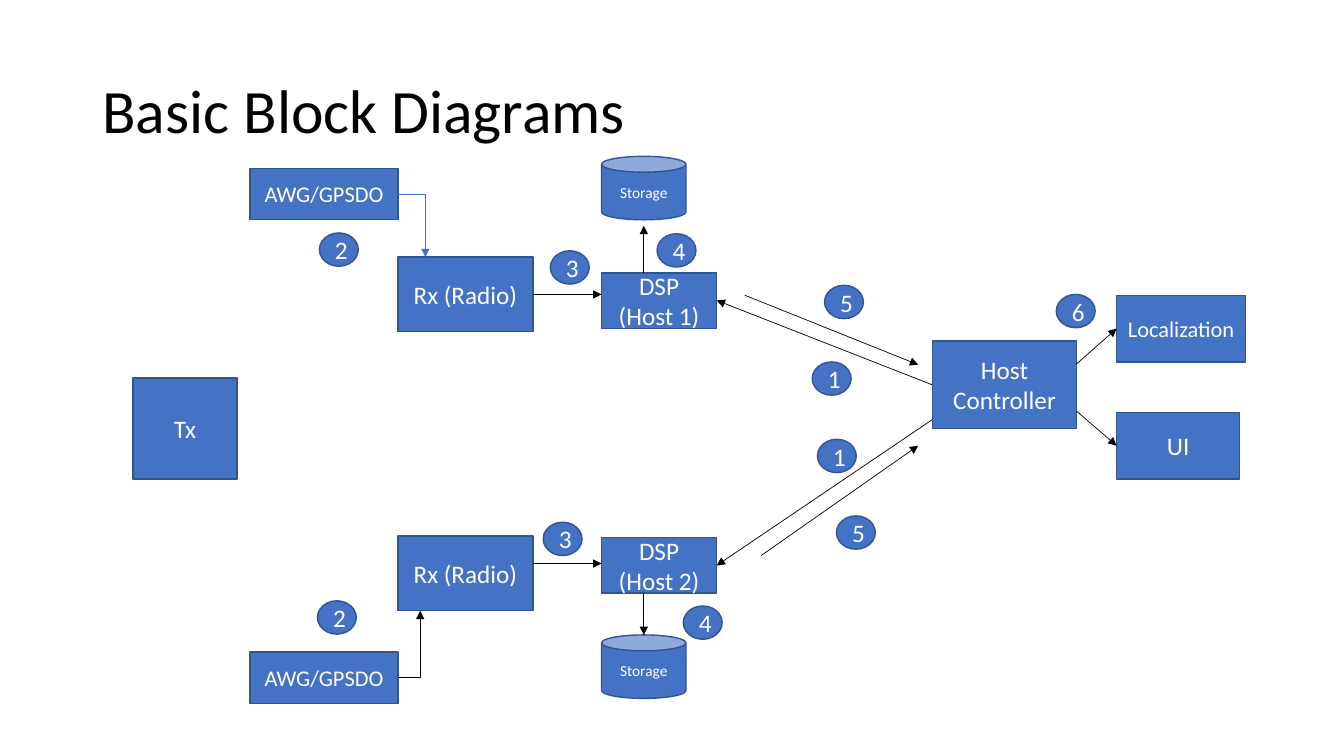
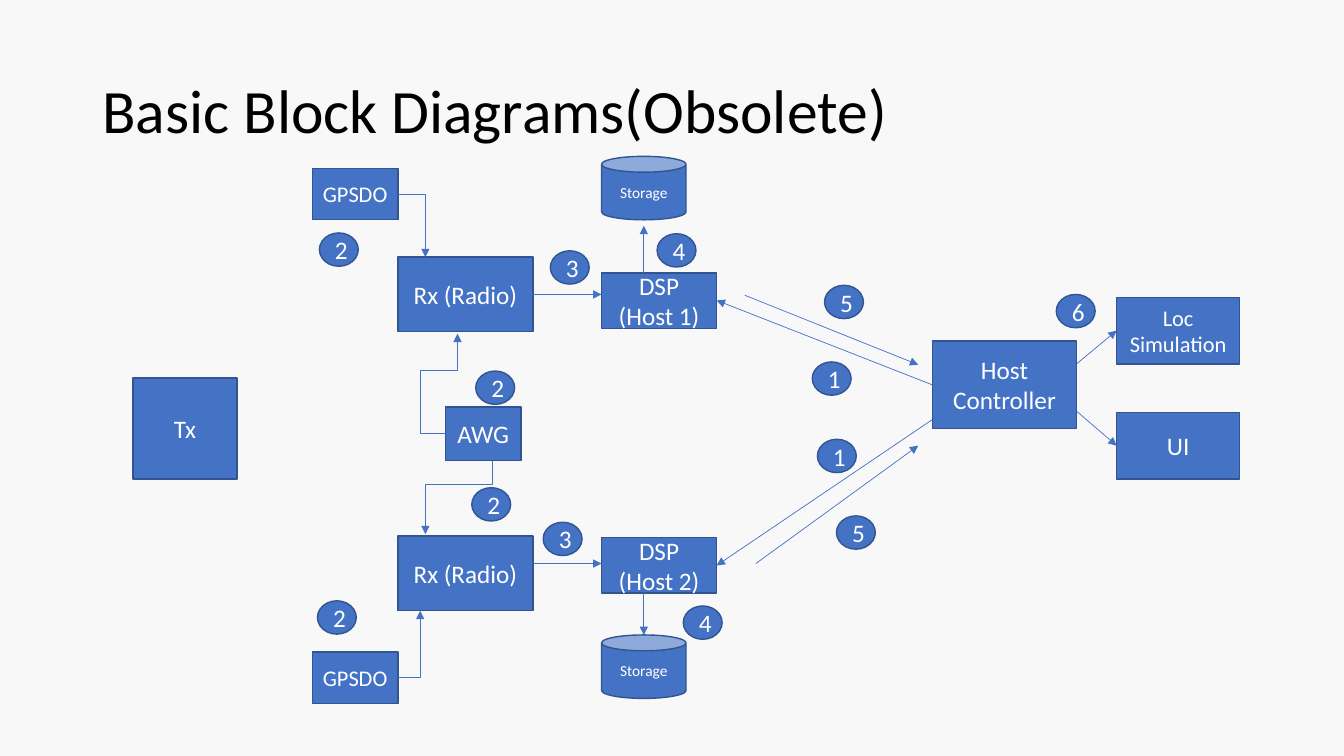
from dataclasses import dataclass

from lxml import etree
from pptx import Presentation
from pptx.dml.color import RGBColor
from pptx.enum.shapes import MSO_CONNECTOR, MSO_SHAPE
from pptx.enum.text import MSO_ANCHOR, MSO_AUTO_SIZE, PP_ALIGN
from pptx.oxml.ns import qn
from pptx.util import Cm, Pt

RECT = MSO_SHAPE.RECTANGLE
OVAL = MSO_SHAPE.OVAL
CAN = MSO_SHAPE.CAN
LINE = MSO_CONNECTOR.STRAIGHT
ELBOW = MSO_CONNECTOR.ELBOW
LEFT = PP_ALIGN.LEFT
CENTER = PP_ALIGN.CENTER
MIDDLE = MSO_ANCHOR.MIDDLE
FIXED = MSO_AUTO_SIZE.NONE


@dataclass(frozen=True)
class Theme:
    font: str = "Calibri"
    blue: str = "4472C4"
    edge: str = "325491"
    black: str = "000000"
    white: str = "FFFFFF"
    grey: str = "F8F8F8"
    title: float = 44
    body: float = 18
    label: float = 16
    small: float = 11
    rim: float = 1
    wire: float = 0.5


@dataclass(frozen=True)
class Box:
    x: float
    y: float
    w: float
    h: float

    def sub(self, x, y, w, h):
        return Box(self.x + x, self.y + y, w, h)

    def spot(self, point):
        return self.x + point[0], self.y + point[1]


@dataclass(frozen=True)
class Side:
    box: Box
    host: str
    clock: float
    bend: tuple
    dsp: float
    feed: float
    store: float
    save: tuple
    balls: tuple


@dataclass(frozen=True)
class Plan:
    title: str
    back: str
    wire: str
    clock: str
    clock_w: float
    sink: str
    sink_y: float
    sink_w: float
    reply: tuple
    hub: bool


THEME = Theme()

UPPER = Side(
    Box(10.03, 6.48, 8.03, 1.88), "Host 1", -2.24, ((0, -1.58), (0.69, 0)),
    0.4, 0.94, -2.54, (0.4, -0.79),
    (("2", -1.98, -0.61), ("3", 3.84, -0.16), ("4", 6.53, -0.59)))
LOWER = Side(
    Box(10.03, 13.51, 8.03, 1.88), "Host 2", 2.92, ((0, 3.56), (0.56, 1.88)),
    0.03, 0.69, 2.49, (1.44, 2.49),
    (("2", -2.03, 1.63), ("3", 3.66, -0.35), ("4", 7.19, 1.76)))

PLANS = (
    Plan("Basic Block Diagrams", THEME.white, THEME.black, "AWG/GPSDO", 3.73,
         "Localization", 0.02, 3.25, (1.12, 6.81), False),
    Plan("Basic Block Diagrams(Obsolete)", THEME.grey, THEME.blue, "GPSDO", 2.16,
         "Loc Simulation", 0.07, 3.1, (0.99, 7.01), True),
)


def tint(code):
    return RGBColor.from_string(code)


def write(frame, text, size=THEME.body, color=THEME.white, align=CENTER, space=None):
    frame.word_wrap = True
    frame.auto_size = FIXED
    frame.vertical_anchor = MIDDLE
    frame.text = text
    for para in frame.paragraphs:
        para.alignment = align
        if space:
            para.line_spacing = space
        for run in para.runs:
            run.font.name = THEME.font
            run.font.size = Pt(size)
            run.font.color.rgb = tint(color)


def block(slide, box, text, kind=RECT, **form):
    shape = slide.shapes.add_shape(kind, Cm(box.x), Cm(box.y), Cm(box.w), Cm(box.h))
    shape.shadow.inherit = False
    shape.fill.solid()
    shape.fill.fore_color.rgb = tint(THEME.blue)
    shape.line.color.rgb = tint(THEME.edge)
    shape.line.width = Pt(THEME.rim)
    write(shape.text_frame, text, **form)


def mark(slide, box, balls):
    for text, x, y in balls:
        block(slide, box.sub(x, y, 0.98, 0.84), text, OVAL)


def arrow(slide, box, start, end, color, kind=LINE):
    ends = [Cm(n) for n in box.spot(start) + box.spot(end)]
    link = slide.shapes.add_connector(kind, *ends)
    link.line.color.rgb = tint(color)
    link.line.width = Pt(THEME.wire)
    props = link.element.spPr
    etree.SubElement(props.find(qn("a:ln")), qn("a:tailEnd"), type="triangle")
    etree.SubElement(props, qn("a:effectLst"))
    return link


def bend(link, preset, *ratios, turn=0):
    props = link.element.spPr
    shape = props.find(qn("a:prstGeom"))
    shape.set("prst", preset)
    for old in shape.findall(qn("a:avLst")):
        shape.remove(old)
    guides = etree.SubElement(shape, qn("a:avLst"))
    for rank, ratio in enumerate(ratios, 1):
        etree.SubElement(guides, qn("a:gd"), name=f"adj{rank}",
                         fmla=f"val {round(ratio * 100000)}")
    if turn:
        props.find(qn("a:xfrm")).set("rot", str(turn * 60000))


def head(slide, box, plan):
    slide.background.fill.solid()
    slide.background.fill.fore_color.rgb = tint(plan.back)
    title = slide.shapes.title
    title.left, title.top = Cm(box.x), Cm(box.y)
    title.width, title.height = Cm(box.w), Cm(box.h)
    write(title.text_frame, plan.title, size=THEME.title, color=THEME.black,
          align=LEFT, space=0.9)


def arm(slide, side, plan, color):
    box = side.box
    rx_w, dsp_w, can_w = 3.4, 2.9, 2.13
    left = box.w - dsp_w
    mid = left + can_w / 2
    block(slide, box.sub(0, 0, rx_w, box.h), "Rx (Radio)")
    block(slide, box.sub(left, side.dsp, dsp_w, 1.4), f"DSP\n({side.host})")
    block(slide, box.sub(left, side.store, can_w, 1.6), "Storage", CAN, size=THEME.small)
    block(slide, box.sub(-plan.clock_w, side.clock, plan.clock_w, 1.3), plan.clock,
          size=THEME.label)
    bend(arrow(slide, box, *side.bend, color, ELBOW), "bentConnector2")
    arrow(slide, box, (rx_w, side.feed), (left, side.feed), plan.wire)
    arrow(slide, box, (mid, side.save[0]), (mid, side.save[1]), plan.wire)
    mark(slide, box, side.balls)


def hub(slide, box, color):
    block(slide, box.sub(0.64, 1.85, 1.9, 1.35), "AWG")
    rise = arrow(slide, box, (0.64, 2.51), (0.94, 0), color, ELBOW)
    bend(rise, "bentConnector4", -2.13, 0.63)
    x, y, wide, tall = 0.13, 3.2, 1.68, box.h - 3.2
    mid_x, mid_y = x + wide / 2, y + tall / 2
    drop = arrow(slide, box, (mid_x - tall / 2, mid_y - wide / 2),
                 (mid_x + tall / 2, mid_y + wide / 2), color, ELBOW)
    bend(drop, "bentConnector3", 0.32, turn=90)
    mark(slide, box, (("2", 1.4, 0.94), ("2", 1.3, 3.88)))


def links(slide, box, plan):
    pairs = (
        ((box.w, 2.51), (0, 0.38)),
        ((box.w, 3.38), (0, box.h)),
        ((0.71, 0.25), (5.08, 2)),
        (plan.reply, (5.08, 4.04)),
    )
    for start, end in pairs:
        arrow(slide, box, start, end, plan.wire)
    mark(slide, box, (("1", 2.41, 1.93), ("1", 2.54, 3.88),
                      ("5", 2.72, 0), ("5", 3.02, 5.81)))


def control(slide, box, plan):
    host_w, left, tall = 3.63, 4.64, 1.68
    block(slide, box.sub(0, 1.17, host_w, 2.21), "Host\nController")
    sinks = (
        (plan.sink, plan.sink_y, plan.sink_w, THEME.label, 1.75),
        ("UI", 2.97, 3.1, THEME.body, 2.94),
    )
    for text, top, wide, size, rise in sinks:
        block(slide, box.sub(left, top, wide, tall), text, size=size)
        arrow(slide, box, (host_w, rise), (left, top + tall / 2), plan.wire)
    mark(slide, box, (("6", 3.12, 0),))


def draw(deck, plan):
    slide = deck.slides.add_slide(deck.slide_layouts[5])
    head(slide, Box(2.33, 1.01, 29.21, 3.68), plan)
    block(slide, Box(3.35, 9.53, 2.62, 2.54), "Tx")
    arm(slide, UPPER, plan, THEME.blue)
    arm(slide, LOWER, plan, plan.wire)
    if plan.hub:
        hub(slide, Box(10.59, 8.41, 2.54, 5.05), plan.wire)
    links(slide, Box(18.06, 7.19, 5.44, 7.06), plan)
    control(slide, Box(23.5, 7.42, 7.89, 4.65), plan)


def main():
    deck = Presentation()
    deck.slide_width, deck.slide_height = Cm(33.87), Cm(19.05)
    for plan in PLANS:
        draw(deck, plan)
    deck.save("out.pptx")


if __name__ == "__main__":
    main()
